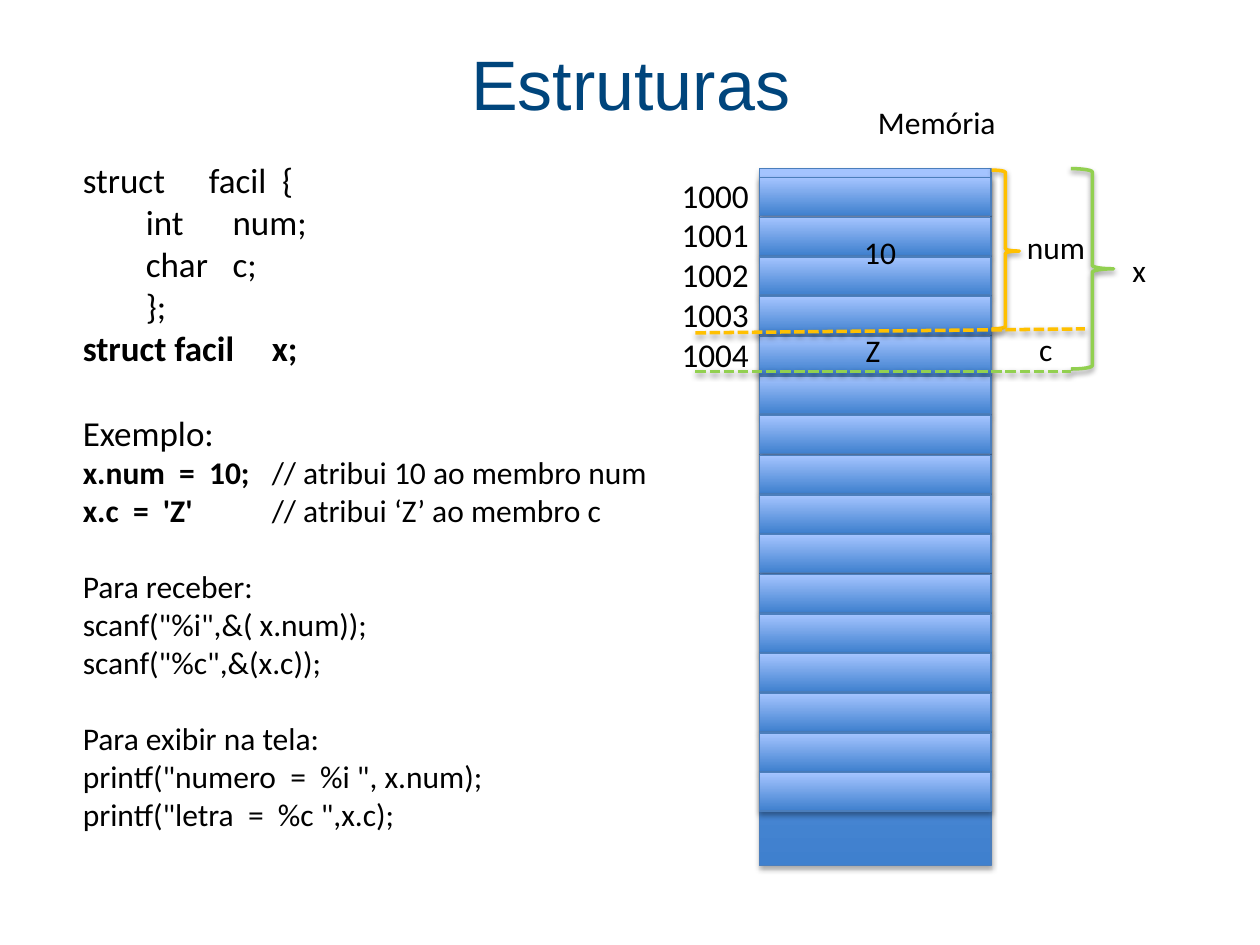
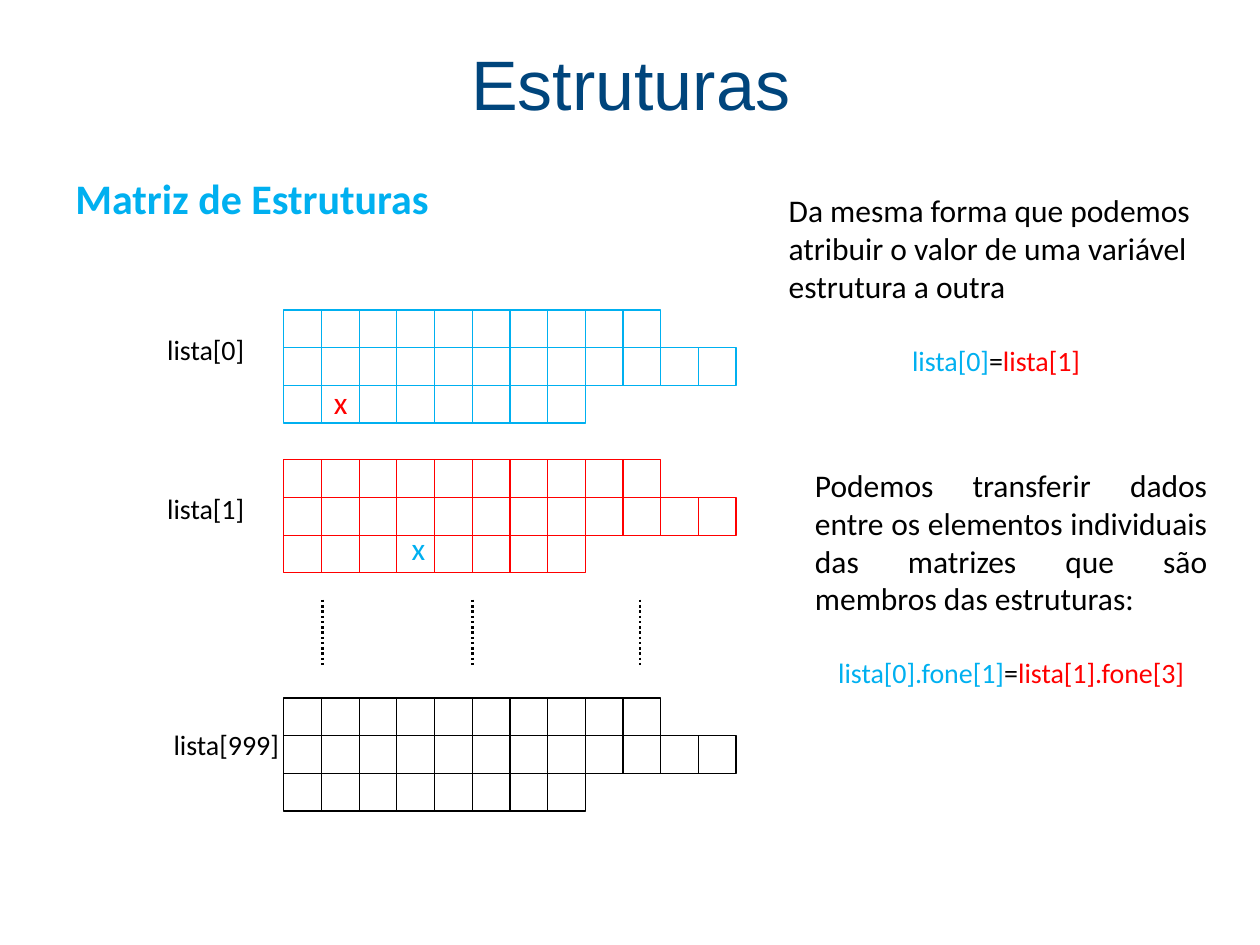
from dataclasses import dataclass

from lxml.etree import SubElement
from pptx import Presentation
from pptx.dml.color import RGBColor
from pptx.enum.dml import MSO_LINE
from pptx.enum.shapes import MSO_CONNECTOR, MSO_SHAPE
from pptx.enum.text import MSO_ANCHOR, PP_ALIGN
from pptx.oxml.ns import qn
from pptx.util import Cm, Pt

# Shared style; every length below is in centimetres
TITLE_BLUE, BLACK, WHITE = "00457C", "000000", "FFFFFF"
CYAN, RED, ORANGE, GREEN = "00B0F0", "FF0000", "FFC000", "92D050"
CELL_DARK, CELL_LIGHT, CELL_EDGE = "3F80CE", "A4C4FF", "4B7EBC"
BODY_FONT, TITLE_FONT = "Calibri", "Arial"
BLANK_18, BLANK_20 = 22, 24.4  # height of an empty text line, in points


@dataclass(frozen=True)
class Box:
    left: float
    top: float
    width: float
    height: float

    def lengths(self) -> tuple:
        return Cm(self.left), Cm(self.top), Cm(self.width), Cm(self.height)


@dataclass(frozen=True)
class Run:
    text: str
    color: str | None = None
    bold: bool | None = None


@dataclass(frozen=True)
class Line:
    content: str | tuple[Run, ...]
    size: float = 18
    color: str = BLACK
    bold: bool = False
    font: str = BODY_FONT
    align: PP_ALIGN = PP_ALIGN.LEFT
    before: float = 0
    tabs: tuple[float, ...] = ()


@dataclass(frozen=True)
class Label:
    box: Box
    line: Line


@dataclass(frozen=True)
class Brace:
    box: Box
    color: str
    point: float


@dataclass(frozen=True)
class Rule:
    start: tuple[float, float]
    end: tuple[float, float]
    color: str
    width: float = 0.75
    dash: MSO_LINE | None = None
    shadow: bool = False


@dataclass(frozen=True)
class Record:
    top: float
    color: str
    label: Label


def rgb(color: str) -> RGBColor:
    return RGBColor.from_string(color)


# Drawing helpers
def set_shadow(shape, visible: bool, opacity: int = 38) -> None:
    effects = SubElement(shape._element.spPr, qn("a:effectLst"))
    if visible:
        outer = SubElement(effects, qn("a:outerShdw"), blurRad="40000", dist="21500",
                           dir="5400000", rotWithShape="0")
        color = SubElement(outer, qn("a:srgbClr"), val=BLACK)
        SubElement(color, qn("a:alpha"), val=str(opacity * 1000))


def set_tabs(paragraph, positions: tuple[float, ...]) -> None:
    tab_list = SubElement(paragraph._p.get_or_add_pPr(), qn("a:tabLst"))
    for position in positions:
        SubElement(tab_list, qn("a:tab"), pos=str(Cm(position)), algn="l")


def add_text(slide, box: Box, *lines: Line, anchor: MSO_ANCHOR = MSO_ANCHOR.TOP) -> None:
    frame = slide.shapes.add_textbox(*box.lengths()).text_frame
    frame.word_wrap = True
    frame.vertical_anchor = anchor
    for index, line in enumerate(lines):
        paragraph = frame.add_paragraph() if index else frame.paragraphs[0]
        paragraph.alignment = line.align
        paragraph.space_before = Pt(line.before)
        if line.tabs:
            set_tabs(paragraph, line.tabs)
        font = paragraph.font
        font.name, font.size, font.bold = line.font, Pt(line.size), line.bold
        font.color.rgb = rgb(line.color)
        runs = (Run(line.content),) if isinstance(line.content, str) else line.content
        for part in runs:
            run = paragraph.add_run()
            run.text = part.text
            if part.bold is not None:
                run.font.bold = part.bold
            if part.color:
                run.font.color.rgb = rgb(part.color)


def add_labels(slide, labels: list[Label]) -> None:
    for label in labels:
        add_text(slide, label.box, label.line)


def add_rule(shapes, rule: Rule) -> None:
    ends = [Cm(value) for value in rule.start + rule.end]
    connector = shapes.add_connector(MSO_CONNECTOR.STRAIGHT, *ends)
    connector.line.color.rgb = rgb(rule.color)
    connector.line.width = Pt(rule.width)
    if rule.dash:
        connector.line.dash_style = rule.dash
    set_shadow(connector, rule.shadow)


def add_memory_cell(shapes, box: Box) -> None:
    cell = shapes.add_shape(MSO_SHAPE.RECTANGLE, *box.lengths())
    cell.fill.gradient()
    cell.fill.gradient_angle = 90
    for stop, color in zip(cell.fill.gradient_stops, (CELL_DARK, CELL_LIGHT)):
        stop.color.rgb = rgb(color)
    cell.line.color.rgb = rgb(CELL_EDGE)
    cell.line.width = Pt(0.75)
    set_shadow(cell, True, 35)


def add_brace(slide, brace: Brace) -> None:
    shape = slide.shapes.add_shape(MSO_SHAPE.RIGHT_BRACE, *brace.box.lengths())
    shape.adjustments[0], shape.adjustments[1] = 0.08, brace.point
    shape.fill.background()
    shape.line.color.rgb = rgb(brace.color)
    shape.line.width = Pt(2)
    set_shadow(shape, True)


def add_record(slide, record: Record) -> None:
    """Three rows of square cells, with one line per column boundary."""
    left, side, row_counts = 5.72, 0.76, (10, 12, 8)
    shapes = slide.shapes.add_group_shape().shapes
    for row, count in enumerate(row_counts):
        box = Box(left, record.top + row * side, count * side, side)
        strip = shapes.add_shape(MSO_SHAPE.RECTANGLE, *box.lengths())
        strip.fill.solid()
        strip.fill.fore_color.rgb = rgb(WHITE)
        strip.line.color.rgb = rgb(record.color)
        strip.line.width = Pt(0.75)
        set_shadow(strip, False)
    for column in range(1, max(row_counts)):
        rows = [row for row, count in enumerate(row_counts) if count > column]
        x = left + column * side
        add_rule(shapes, Rule((x, record.top + rows[0] * side),
                              (x, record.top + (rows[-1] + 1) * side), record.color))
    add_labels(slide, [record.label])


def add_titled_slide(presentation):
    slide = presentation.slides.add_slide(presentation.slide_layouts[6])
    add_text(slide, Box(0.89, 0.08, 23.65, 3.18),
             Line("Estruturas", 40, TITLE_BLUE, font=TITLE_FONT, align=PP_ALIGN.CENTER),
             anchor=MSO_ANCHOR.MIDDLE)
    return slide


# Slide 1: one structure in memory
def build_memory_slide(presentation) -> None:
    slide = add_titled_slide(presentation)
    member_tabs, comment_tab = (1.27, 3.02), (3.81,)
    add_text(
        slide, Box(1.42, 3.07, 12.83, 14.7),
        Line("struct\tfacil  {", 20, tabs=(2.54,)),
        Line("\tint\tnum;", 20, tabs=member_tabs),
        Line("\tchar\tc;", 20, tabs=member_tabs),
        Line("\t};", 20, tabs=member_tabs),
        Line("struct facil\tx;", 20, bold=True, tabs=comment_tab),
        Line("Exemplo:", 20, before=BLANK_20),
        Line((Run("x.num  =  10;", bold=True), Run("\t// atribui 10 ao membro num")),
             tabs=comment_tab),
        Line((Run("x.c  =  'Z'", bold=True), Run("\t// atribui ‘Z’ ao membro c")),
             tabs=comment_tab),
        Line("Para receber:", before=BLANK_18),
        Line('scanf("%i",&( x.num));'),
        Line('scanf("%c",&(x.c));'),
        Line("Para exibir na tela:", before=BLANK_18),
        Line('printf("numero  =  %i ", x.num);'),
        Line('printf("letra  =  %c ",x.c);'),
    )

    # Memory column and its cells
    column = Box(15.31, 3.4, 4.67, 14.05)
    memory = slide.shapes.add_group_shape().shapes
    add_memory_cell(memory, column)
    for index in range(16):
        add_memory_cell(memory, Box(column.left, 3.58 + 0.8 * index, column.width, 0.77))

    # Extent of each member and of the whole variable
    for brace in (Brace(Box(19.99, 3.43, 0.56, 3.2), ORANGE, 0.51),
                  Brace(Box(21.59, 3.4, 0.86, 4.04), GREEN, 0.5)):
        add_brace(slide, brace)
    add_text(slide, Box(13.49, 3.4, 2.16, 4.32),
             *(Line(str(address), 19) for address in range(1000, 1005)))
    for rule in (Rule((14.02, 7.49), (21.59, 7.49), GREEN, 2, MSO_LINE.SQUARE_DOT, True),
                 Rule((14.02, 6.71), (21.87, 6.63), ORANGE, 2, MSO_LINE.SQUARE_DOT, True)):
        add_rule(slide.shapes, rule)
    add_labels(slide, [
        Label(Box(20.45, 4.47, 2.13, 1.02), Line("num")),
        Label(Box(20.7, 6.53, 1.5, 1.02), Line("c")),
        Label(Box(22.58, 4.93, 2.24, 1.02), Line("x")),
        Label(Box(17.45, 1.96, 4.85, 1.02), Line("Memória")),
        Label(Box(17.2, 6.55, 2.24, 1.02), Line("Z")),
        Label(Box(17.17, 4.57, 1.63, 1.02), Line("10")),
    ])


# Slide 2: array of structures
def assignment(target: str, source: str) -> Line:
    return Line((Run(target, CYAN), Run("="), Run(source, RED)), 16,
                align=PP_ALIGN.CENTER, before=BLANK_18)


def build_array_slide(presentation) -> None:
    slide = add_titled_slide(presentation)
    add_text(slide, Box(1.27, 3.35, 12, 1.3),
             Line("Matriz de Estruturas", 24, CYAN, bold=True))

    for record in (
        Record(6.25, CYAN, Label(Box(3.12, 6.58, 4.19, 0.94), Line("lista[0]", 16))),
        Record(9.27, RED, Label(Box(3.12, 9.78, 4.19, 0.94), Line("lista[1]", 16))),
        Record(14.07, BLACK, Label(Box(3.25, 14.55, 4.19, 0.94), Line("lista[999]", 16))),
    ):
        add_record(slide, record)
    for x in (6.5, 9.53, 12.9):
        add_rule(slide.shapes, Rule((x, 12.09), (x, 13.44), BLACK, 1.5, MSO_LINE.ROUND_DOT))
    add_labels(slide, [
        Label(Box(6.48, 7.59, 0.84, 1.02), Line("x", color=RED)),
        Label(Box(8.05, 10.54, 0.84, 1.02), Line("x", color=CYAN)),
    ])

    # Explanations
    add_text(slide, Box(15.65, 3.73, 8.86, 4.01),
             Line("Da mesma forma que podemos atribuir o valor de uma variável "
                  "estrutura a outra"),
             assignment("lista[0]", "lista[1]"))
    add_text(slide, Box(16.18, 9.27, 8.41, 4.78),
             Line("Podemos transferir dados entre os elementos individuais das "
                  "matrizes que são membros das estruturas:", align=PP_ALIGN.JUSTIFY),
             assignment("lista[0].fone[1]", "lista[1].fone[3]"))


def main() -> None:
    presentation = Presentation()
    presentation.slide_width, presentation.slide_height = Cm(25.4), Cm(19.05)
    build_memory_slide(presentation)
    build_array_slide(presentation)
    presentation.save("out.pptx")


if __name__ == "__main__":
    main()
